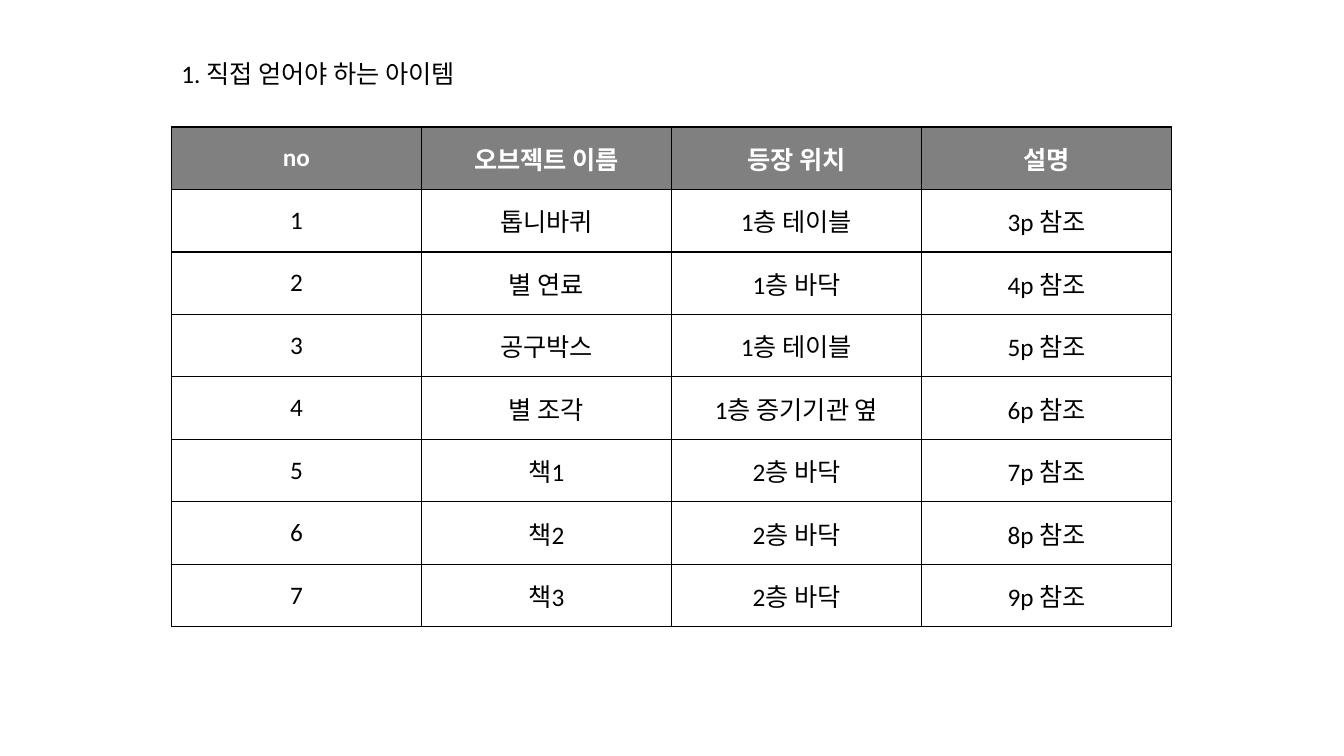
import dataclasses

import pptx
import pptx.dml.color
import pptx.enum.text
import pptx.oxml
import pptx.oxml.ns
import pptx.util


@dataclasses.dataclass(frozen=True)
class Theme:
    font: str = "Calibri"
    size: int = 18
    ink: str = "000000"
    paper: str = "FFFFFF"
    head: str = "808080"
    rule: float = 1


THEME = Theme()
WIDTH = pptx.util.Inches(13.33)
HEIGHT = pptx.util.Inches(7.5)
LEFT = pptx.util.Inches(1.7)
COL = pptx.util.Inches(2.48)
ROW = pptx.util.Inches(0.62)

TITLE = "1. 직접 얻어야 하는 아이템"
HEADS = ("no", "오브젝트 이름", "등장 위치", "설명")
ITEMS = (
    ("톱니바퀴", "1층 테이블"),
    ("별 연료", "1층 바닥"),
    ("공구박스", "1층 테이블"),
    ("별 조각", "1층 증기기관 옆"),
    ("책1", "2층 바닥"),
    ("책2", "2층 바닥"),
    ("책3", "2층 바닥"),
)
FIRST_PAGE = 3


def color(code):
    return pptx.dml.color.RGBColor.from_string(code)


def style(frame, ink, bold=False):
    for para in frame.paragraphs:
        for run in para.runs:
            run.font.name = THEME.font
            run.font.size = pptx.util.Pt(THEME.size)
            run.font.bold = bold
            run.font.color.rgb = color(ink)


def add_title(slide, text):
    box = slide.shapes.add_textbox(
        LEFT, pptx.util.Inches(0.53), pptx.util.Inches(3.15), pptx.util.Inches(0.4)
    )
    frame = box.text_frame
    frame.text = text
    frame.word_wrap = False
    frame.auto_size = pptx.enum.text.MSO_AUTO_SIZE.SHAPE_TO_FIT_TEXT
    style(frame, THEME.ink)


def add_rules(cell):
    """Draw all four borders; they must come before the cell's fill."""
    props = cell._tc.get_or_add_tcPr()
    for side in ("lnL", "lnR", "lnT", "lnB"):
        props.append(pptx.oxml.parse_xml(
            f'<a:{side} {pptx.oxml.ns.nsdecls("a")} w="{pptx.util.Pt(THEME.rule)}">'
            f'<a:solidFill><a:srgbClr val="{THEME.ink}"/></a:solidFill></a:{side}>'
        ))


def fill_cell(cell, text, head):
    add_rules(cell)
    cell.fill.solid()
    cell.fill.fore_color.rgb = color(THEME.head if head else THEME.paper)
    cell.vertical_anchor = pptx.enum.text.MSO_ANCHOR.MIDDLE
    cell.text_frame.text = text
    cell.text_frame.paragraphs[0].alignment = pptx.enum.text.PP_ALIGN.CENTER
    style(cell.text_frame, THEME.paper if head else THEME.ink, bold=head)


def add_grid(slide, rows):
    table = slide.shapes.add_table(
        len(rows), len(rows[0]), LEFT, pptx.util.Inches(1.26),
        COL * len(rows[0]), ROW * len(rows),
    ).table
    for col in table.columns:
        col.width = COL
    for r, row in enumerate(rows):
        table.rows[r].height = ROW
        for c, text in enumerate(row):
            fill_cell(table.cell(r, c), text, head=r == 0)


def main():
    deck = pptx.Presentation()
    deck.slide_width, deck.slide_height = WIDTH, HEIGHT
    slide = deck.slides.add_slide(deck.slide_layouts[6])
    rows = [HEADS] + [
        (str(i + 1), name, place, f"{FIRST_PAGE + i}p 참조")
        for i, (name, place) in enumerate(ITEMS)
    ]
    add_grid(slide, rows)
    add_title(slide, TITLE)
    deck.save("out.pptx")


if __name__ == "__main__":
    main()
